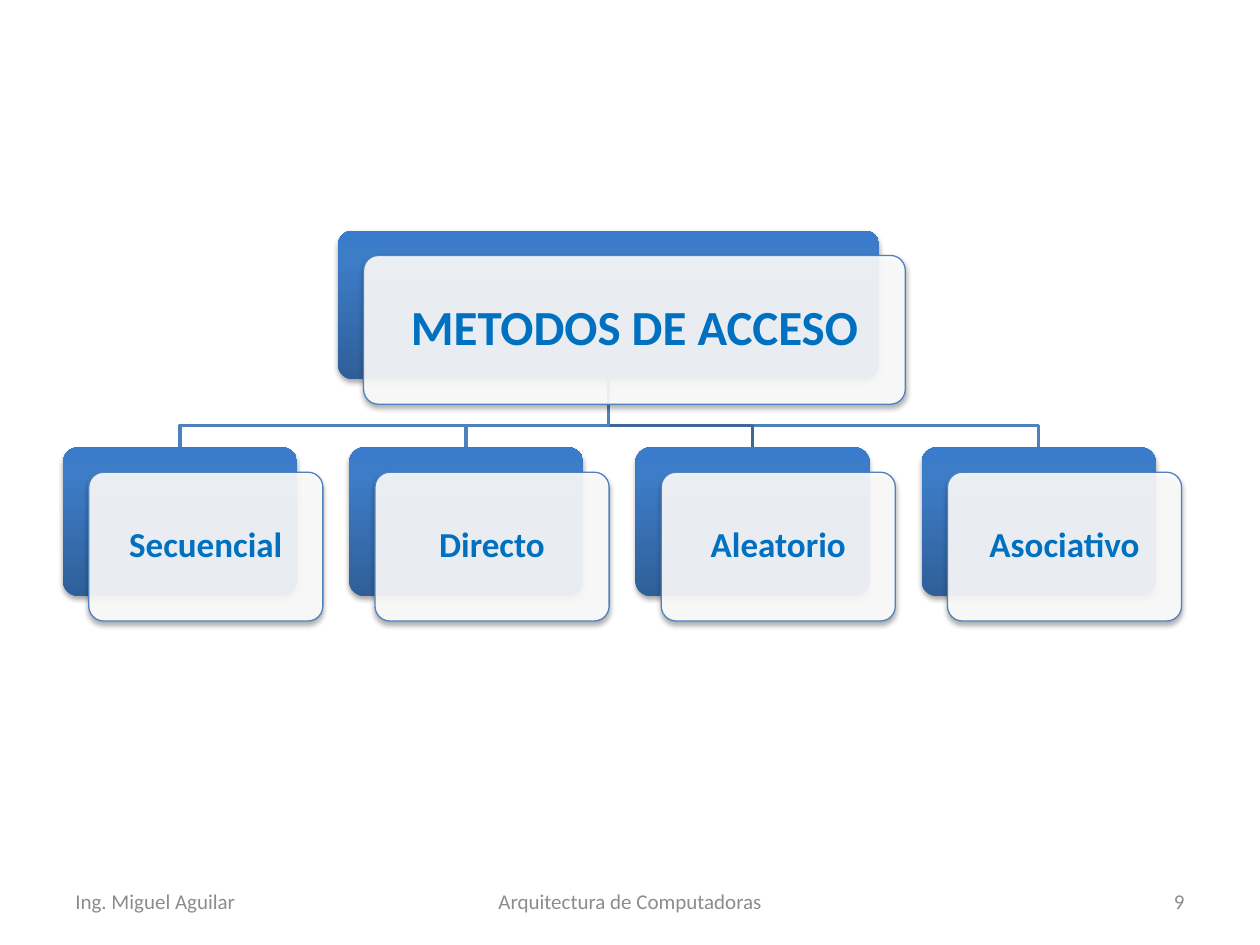
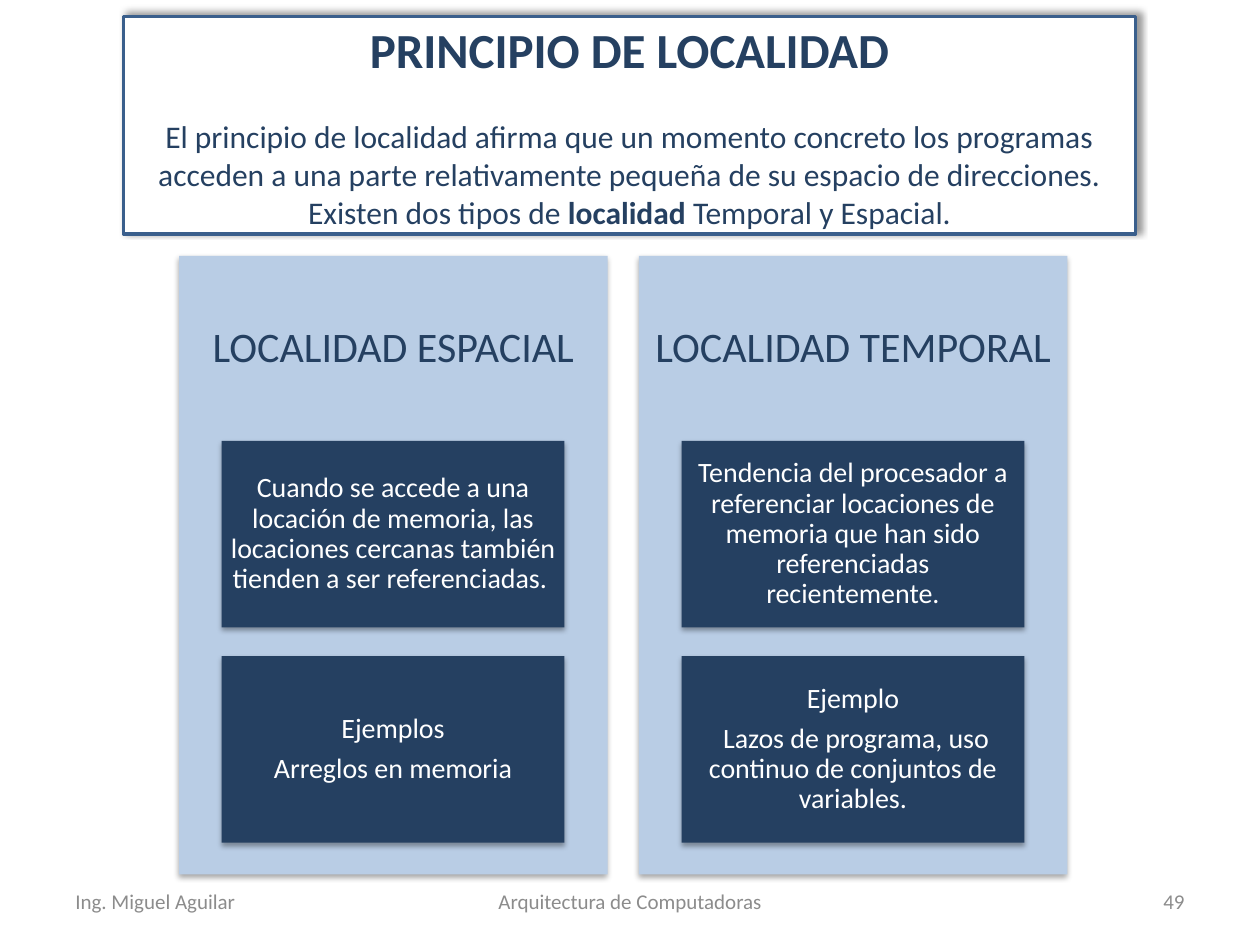
from lxml.etree import SubElement
from pptx import Presentation
from pptx.dml.color import RGBColor
from pptx.enum.shapes import MSO_SHAPE as Preset
from pptx.enum.text import MSO_ANCHOR as Anchor, PP_ALIGN as Align
from pptx.oxml import parse_xml
from pptx.oxml.ns import nsdecls, qn
from pptx.util import Cm, Pt

WHITE = RGBColor(0xFF, 0xFF, 0xFF)
NAVY = RGBColor(0x25, 0x40, 0x61)
PALE_BLUE = RGBColor(0xB9, 0xCD, 0xE5)
BLUE = RGBColor(0x4F, 0x81, 0xBD)
DARK_BLUE = RGBColor(0x3F, 0x67, 0x97)
BORDER_BLUE = RGBColor(0x3A, 0x5F, 0x8C)
TEXT_BLUE = RGBColor(0x00, 0x70, 0xC0)
FOOTER_GREY = RGBColor(0x8C, 0x8C, 0x8C)
CARD_GRADIENT = (
    (0, RGBColor(0x2F, 0x5F, 0x99)),
    (80, RGBColor(0x3D, 0x7C, 0xC7)),
    (100, RGBColor(0x3A, 0x7C, 0xCB)),
)

FONT = "Calibri"
SOFT_SHADOW = (35, 3.1, 1.8, 90)
TITLE_SHADOW = (40, 4, 3, 315)
CARD_HEIGHT = 3
CARD_SHIFT = (0.52, 0.5)


class Deck:
    """Holds the shared style and the slide being drawn; lengths are in cm."""

    def __init__(self):
        self.presentation = Presentation()
        self.presentation.slide_width = Cm(25.4)
        self.presentation.slide_height = Cm(19.05)
        self.slide = None

    def new_slide(self, number):
        blank = self.presentation.slide_layouts[6]
        self.slide = self.presentation.slides.add_slide(blank)
        footers = (
            (1.27, 5.92, "Ing. Miguel Aguilar", Align.LEFT),
            (8.68, 8.05, "Arquitectura de Computadoras", Align.CENTER),
            (18.21, 5.92, str(number), Align.RIGHT),
        )
        for left, width, text, align in footers:
            box = self.text_box(left, 17.65, width, 1.02)
            self.add_text(box, [text], 12, FOOTER_GREY, align=align, spacing=1)

    def text_box(self, left, top, width, height):
        return self.slide.shapes.add_textbox(Cm(left), Cm(top), Cm(width), Cm(height))

    def box(self, left, top, width, height, fill=None, line=None, line_width=0.75,
            preset=Preset.RECTANGLE, shadow=SOFT_SHADOW):
        shape = self.slide.shapes.add_shape(preset, Cm(left), Cm(top), Cm(width), Cm(height))
        if preset == Preset.ROUNDED_RECTANGLE:
            shape.adjustments[0] = 0.1
        if fill is not None:
            shape.fill.solid()
            shape.fill.fore_color.rgb = fill
        if line is None:
            shape.line.fill.background()
        else:
            shape.line.color.rgb = line
            shape.line.width = Pt(line_width)
        self.cast_shadow(shape, *shadow)
        return shape

    def cast_shadow(self, shape, opacity, blur, distance, angle):
        shape.shadow.inherit = False
        effects = shape._element.spPr.find(qn("a:effectLst"))
        outer = SubElement(effects, qn("a:outerShdw"), blurRad=str(Pt(blur)),
                           dist=str(Pt(distance)), dir=str(angle * 60000), rotWithShape="0")
        color = SubElement(outer, qn("a:srgbClr"), val="000000")
        SubElement(color, qn("a:alpha"), val=str(opacity * 1000))

    def gradient(self, shape, stops):
        """Fill the shape from bottom to top with (percent, colour) stops."""
        shape.fill.background()
        stop_list = "".join(
            f'<a:gs pos="{percent * 1000}"><a:srgbClr val="{color}"/></a:gs>'
            for percent, color in stops)
        fill = parse_xml(f'<a:gradFill {nsdecls("a")} rotWithShape="1"><a:gsLst>{stop_list}'
                         '</a:gsLst><a:lin ang="16200000" scaled="0"/></a:gradFill>')
        properties = shape._element.spPr
        properties.replace(properties.find(qn("a:noFill")), fill)

    def add_text(self, shape, texts, size, color, bold=False, align=Align.CENTER,
                 spacing=0.9, inset=(0.25, 0.13)):
        frame = shape.text_frame
        frame.word_wrap = True
        frame.vertical_anchor = Anchor.MIDDLE
        frame.margin_left = frame.margin_right = Cm(inset[0])
        frame.margin_top = frame.margin_bottom = Cm(inset[1])
        for index, text in enumerate(texts):
            paragraph = frame.add_paragraph() if index else frame.paragraphs[0]
            paragraph.alignment = align
            paragraph.line_spacing = spacing
            if index:
                paragraph.space_before = Pt(0.35 * size)
            self.add_run(paragraph, text, size, color, bold)

    def add_run(self, paragraph, text, size, color, bold=False):
        run = paragraph.add_run()
        run.text = text
        run.font.name = FONT
        run.font.size = Pt(size)
        run.font.bold = bold
        run.font.color.rgb = color

    def branch(self, start, bend_y, end, color):
        """Draw an elbow line down from start, across at bend_y, and down to end."""
        points = [start, (start[0], bend_y), (end[0], bend_y), end]
        corners = [(Cm(x), Cm(y)) for x, y in points]
        builder = self.slide.shapes.build_freeform(*corners[0])
        builder.add_line_segments(corners[1:], close=False)
        shape = builder.convert_to_shape()
        shape.fill.background()
        shape.line.color.rgb = color
        shape.line.width = Pt(2)
        shape.shadow.inherit = False

    def card(self, left, top, width, text, size, inset):
        """Draw a gradient plate with a translucent labelled plate shifted over it."""
        back = self.box(left, top, width, CARD_HEIGHT, preset=Preset.ROUNDED_RECTANGLE)
        self.gradient(back, CARD_GRADIENT)
        front = self.box(left + CARD_SHIFT[0], top + CARD_SHIFT[1], width, CARD_HEIGHT,
                         WHITE, BLUE, preset=Preset.ROUNDED_RECTANGLE)
        color = front._element.spPr.find(qn("a:solidFill"))[0]
        SubElement(color, qn("a:alpha"), val="90000")
        self.add_text(front, [text], size, TEXT_BLUE, bold=True, inset=(inset, inset))

    def panel(self, left, heading, details):
        top, width = 5.16, 8.64
        self.box(left, top, width, 12.47, PALE_BLUE)
        heading_box = self.text_box(left, top, width, 3.73)
        self.add_text(heading_box, [heading], 24, NAVY, inset=(0.25, 0.25))
        for row, texts in enumerate(details):
            detail = self.box(left + 0.86, 8.89 + 4.34 * row, 6.91, 3.76, NAVY)
            self.add_text(detail, texts, 16, WHITE, inset=(0.1, 0.08))


def draw_access_methods(deck):
    deck.new_slide(9)
    root_left, root_top, root_width = 6.81, 4.65, 10.92
    child_top, child_width = 9.02, 4.72
    methods = [
        ("Secuencial", BLUE),
        ("Directo", BLUE),
        ("Aleatorio", DARK_BLUE),
        ("Asociativo", BLUE),
    ]
    children = [(1.27 + 5.77 * column, name, color)
                for column, (name, color) in enumerate(methods)]

    trunk = (root_left + root_width / 2, root_top + CARD_HEIGHT)
    for left, _, color in reversed(children):
        deck.branch(trunk, 8.58, (left + child_width / 2, child_top), color)
    deck.card(root_left, root_top, root_width, "METODOS DE ACCESO", 28, 0.41)
    for left, name, _ in children:
        deck.card(left, child_top, child_width, name, 20, 0.3)


def draw_locality(deck):
    deck.new_slide(49)
    title = deck.box(2.49, 0.33, 20.4, 4.39, WHITE, BORDER_BLUE, 2, shadow=TITLE_SHADOW)
    deck.add_text(title, ["PRINCIPIO DE LOCALIDAD"], 28, NAVY, bold=True, spacing=1)
    definition = title.text_frame.add_paragraph()
    definition.alignment = Align.CENTER
    definition.space_before = Pt(22)
    deck.add_run(definition, "El principio de localidad afirma que un momento concreto los "
                 "programas acceden a una parte relativamente pequeña de su espacio de "
                 "direcciones. Existen dos tipos de ", 18, NAVY)
    deck.add_run(definition, "localidad", 18, NAVY, bold=True)
    deck.add_run(definition, " Temporal y Espacial.", 18, NAVY)

    panels = [
        ("LOCALIDAD ESPACIAL", [
            ["Cuando se accede a una locación de memoria, las locaciones cercanas "
             "también tienden a ser referenciadas. "],
            ["Ejemplos", "Arreglos en memoria"],
        ]),
        ("LOCALIDAD TEMPORAL", [
            ["Tendencia del procesador a referenciar locaciones de memoria que han "
             "sido referenciadas recientemente."],
            ["Ejemplo", " Lazos de programa, uso continuo de conjuntos de variables."],
        ]),
    ]
    for column, (heading, details) in enumerate(panels):
        deck.panel(3.61 + 9.27 * column, heading, details)


def main():
    deck = Deck()
    draw_access_methods(deck)
    draw_locality(deck)
    deck.presentation.save("out.pptx")


if __name__ == "__main__":
    main()
